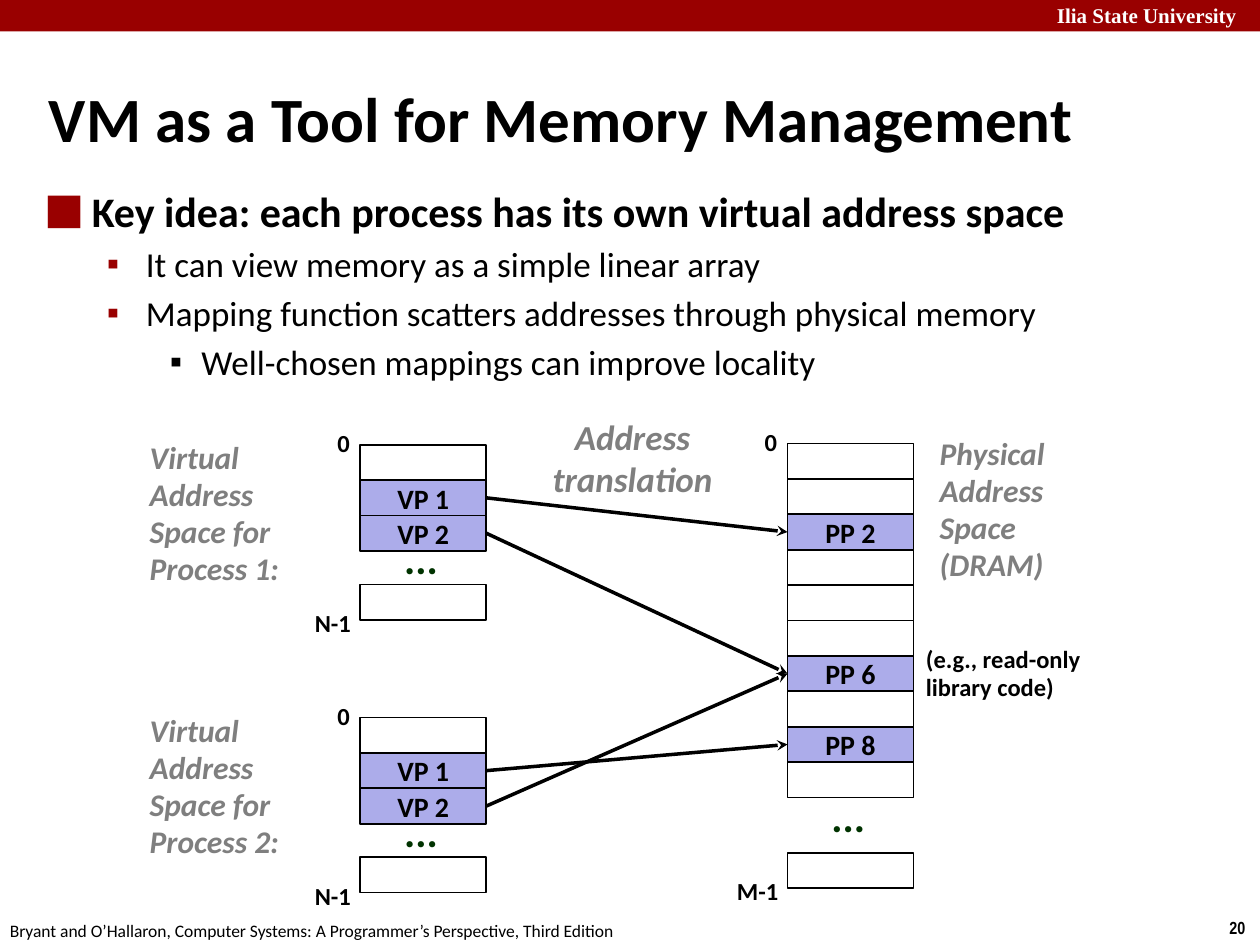
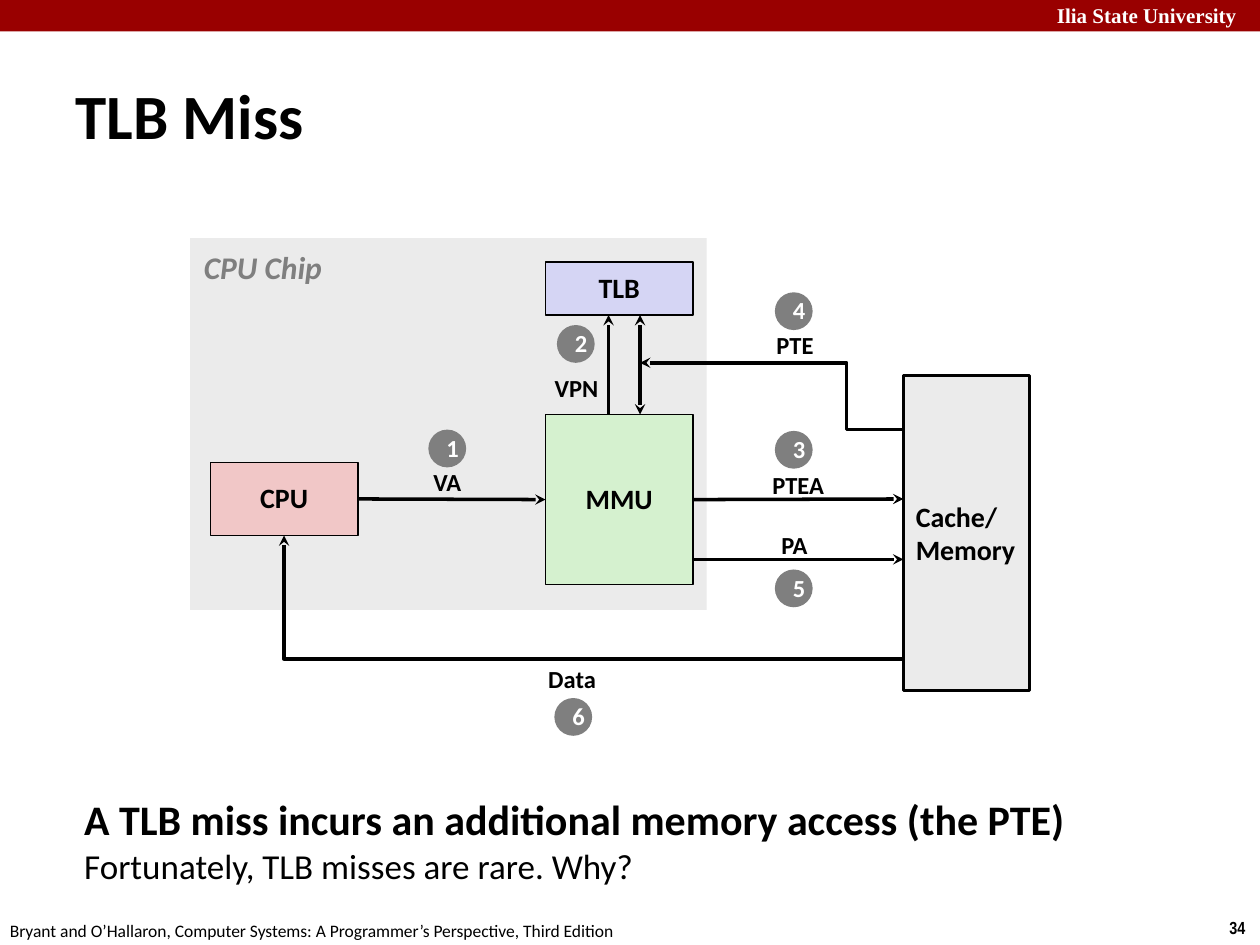
"""Build two slides on virtual memory: address spaces and a TLB miss."""
from collections import namedtuple

from lxml.etree import SubElement
from pptx import Presentation
from pptx.dml.color import RGBColor
from pptx.enum.shapes import MSO_CONNECTOR, MSO_SHAPE
from pptx.enum.text import MSO_ANCHOR, PP_ALIGN
from pptx.oxml.ns import qn
from pptx.util import Inches, Pt

COLUMNS, ROWS = 100, 75
UNIT = Inches(10) // COLUMNS
CELL = 2.81
LABEL_HEIGHT = 3.3
BADGE = 3
BULLET_FONT = "Times New Roman"

COLORS = {
    "red": "990000", "white": "FFFFFF", "black": "000000", "gray": "7F7F7F",
    "pale": "EBEBEB", "page": "ACACEA", "dots": "003300", "mmu": "D5F1CF",
    "cpu": "F1C7C7", "tlb": "D5D5F4",
}


def text_format(size, color="black", bold=True, italic=False, name="Calibri",
                align=PP_ALIGN.LEFT, spacing=None):
    """Collect the font, paragraph and colour values of one text style."""
    font = {"size": Pt(size), "bold": bold, "italic": italic, "name": name}
    return {"font": font, "color": color,
            "para": {"alignment": align, "line_spacing": spacing}}


CENTER = PP_ALIGN.CENTER
FORMATS = {
    "title": text_format(36),
    "key": text_format(24),
    "body": text_format(20, bold=False),
    "school": text_format(12, "white", name="Times New Roman"),
    "number": text_format(10, name="Arial Narrow"),
    "source": text_format(10, bold=False),
    "caption": text_format(18, "gray", italic=True, spacing=0.98),
    "chip": text_format(18, "gray", italic=True),
    "heading": text_format(20, "gray", italic=True, align=CENTER),
    "label": text_format(14, spacing=0.98),
    "signal": text_format(14, align=CENTER, spacing=0.98),
    "badge": text_format(14, "white", align=CENTER, spacing=0.98),
    "dots": text_format(24, "dots", spacing=0.88),
    "cell": text_format(16, align=CENTER),
    "unit": text_format(16, align=CENTER, spacing=0.98),
    "memory": text_format(16),
}


class Box(namedtuple("Box", "left top width height")):
    """A rectangle in grid columns and rows."""

    def inside(self, column, row, width, height):
        """Return a box placed relative to this one's corner."""
        return Box(self.left + column, self.top + row, width, height)

    def lengths(self):
        """Return the four lengths in slide units."""
        return [round(value * UNIT) for value in self]


def rgb(name):
    """Look up a colour by name."""
    return RGBColor.from_string(COLORS[name])


def style(target, style_name):
    """Apply the font values of a style to a paragraph or a span."""
    for key, value in FORMATS[style_name]["font"].items():
        setattr(target.font, key, value)
    target.font.color.rgb = rgb(FORMATS[style_name]["color"])


def write(frame, text, style_name, anchor=MSO_ANCHOR.TOP, wrap=True):
    """Fill a text frame, one paragraph per line of text."""
    frame.word_wrap = wrap
    frame.vertical_anchor = anchor
    frame.text = text
    for para in frame.paragraphs:
        for key, value in FORMATS[style_name]["para"].items():
            setattr(para, key, value)
        for span in para.runs:
            style(span, style_name)


def add_text(page, box, text, style_name, anchor=MSO_ANCHOR.TOP, wrap=False):
    """Add a text box."""
    shape = page.shapes.add_textbox(*box.lengths())
    write(shape.text_frame, text, style_name, anchor, wrap)
    return shape


def add_block(page, box, fill=None, line=None, text="", style_name="unit",
              kind=MSO_SHAPE.RECTANGLE):
    """Add a flat shape with optional fill, outline width and text."""
    shape = page.shapes.add_shape(kind, *box.lengths())
    shape.shadow.inherit = False
    if fill:
        shape.fill.solid()
        shape.fill.fore_color.rgb = rgb(fill)
    else:
        shape.fill.background()
    if line:
        shape.line.color.rgb = rgb("black")
        shape.line.width = Pt(line)
    else:
        shape.line.fill.background()
    if text:
        write(shape.text_frame, text, style_name, MSO_ANCHOR.MIDDLE)
    return shape


def add_arrow(page, start, end, kind=MSO_CONNECTOR.STRAIGHT, ends=("tailEnd",)):
    """Add an arrow between grid points or (shape, side) pairs."""
    points = [(0, 0) if hasattr(point[0], "shape_id")
              else [round(value * UNIT) for value in point]
              for point in (start, end)]
    arrow = page.shapes.add_connector(kind, *points[0], *points[1])
    for joint, join in ((start, arrow.begin_connect), (end, arrow.end_connect)):
        if hasattr(joint[0], "shape_id"):
            join(*joint)
    arrow.line.color.rgb = rgb("black")
    arrow.line.width = Pt(2)
    outline = arrow.element.spPr.find(qn("a:ln"))
    for tip in ends:
        SubElement(outline, qn("a:" + tip), type="stealth")
    SubElement(arrow.element.spPr, qn("a:effectLst"))
    return arrow


def add_elbow(page, start, end, preset, bend=None):
    """Add a bent arrow with a given preset and bend position."""
    arrow = add_arrow(page, start, end, MSO_CONNECTOR.ELBOW)
    geometry = arrow.element.spPr.find(qn("a:prstGeom"))
    geometry.set("prst", preset)
    if bend is not None:
        guides = geometry.find(qn("a:avLst"))
        SubElement(guides, qn("a:gd"), name="adj1", fmla=f"val {bend}")


def add_bullet(para, mark, percent, color, margin, hang):
    """Give a paragraph a sized, coloured bullet and a hanging indent."""
    properties = para._p.get_or_add_pPr()
    properties.set("marL", str(Inches(margin)))
    properties.set("indent", str(-Inches(hang)))
    paint = SubElement(properties, qn("a:buClr"))
    SubElement(paint, qn("a:srgbClr"), val=COLORS[color])
    SubElement(properties, qn("a:buSzPct"), val=str(percent * 1000))
    SubElement(properties, qn("a:buFont"), typeface=BULLET_FONT)
    SubElement(properties, qn("a:buChar"), char=mark)


def add_page(deck, title, title_box, number):
    """Add a slide with the shared band, footer and title."""
    page = deck.slides.add_slide(deck.slide_layouts[6])
    add_block(page, Box(0, 0, COLUMNS, 2.5), "red")
    add_text(page, Box(82.9, -0.3, 17.8, 3), "Ilia State University", "school")
    add_text(page, Box(96.6, 72.3, 3.4, 2.7), number, "number")
    add_text(page, Box(-0.2, 72.5, 50.8, 2.7),
             "Bryant and O’Hallaron, Computer Systems: "
             "A Programmer’s Perspective, Third Edition", "source")
    add_text(page, title_box, title, "title", MSO_ANCHOR.MIDDLE, True)
    return page


def place_key_idea(page, box):
    """Place the bulleted key idea."""
    levels = [("key", "■", 160, "red", 0.38, 0.38),
              ("body", "▪", 100, "red", 0.81, 0.31),
              ("body", "▪", 100, "black", 1.25, 0.25)]
    items = [
        (0, "Key idea: each process has its own virtual address space"),
        (1, "It can view memory as a simple linear array"),
        (1, "Mapping function scatters addresses through physical memory"),
        (2, "Well-chosen mappings can improve locality"),
    ]
    text = "\n".join(item for _, item in items)
    frame = add_text(page, box, text, "body", wrap=True).text_frame
    for para, (level, _) in zip(frame.paragraphs, items):
        style_name, *bullet = levels[level]
        add_bullet(para, *bullet)
        para.level = level
        if level:
            para.space_before = Pt(4)
        style(para.runs[0], style_name)


def place_address_space(page, box, names, last_label, last_width):
    """Stack cells from the top, one at the bottom; return named cells."""
    cells = {}
    for row, name in enumerate(names):
        spot = box.inside(0, row * CELL, box.width, CELL)
        cells[name] = add_block(page, spot, "page" if name else None, 1, name, "cell")
    last_row = box.height - CELL
    add_block(page, box.inside(0, last_row, box.width, CELL), line=1)
    middle = (len(names) * CELL + last_row) / 2
    add_text(page, box.inside(2.5, middle - 2.75, 4.7, 4.5), "...", "dots")
    for text, width, row in (("0", 3.1, -1.7), (last_label, last_width, last_row + 1.5)):
        add_text(page, box.inside(0.3 - width, row, width, LABEL_HEIGHT), text, "label")
    return cells


def place_mapping(page, box):
    """Place both virtual spaces, the physical space and the mappings."""
    physical = place_address_space(
        page, box.inside(51.6, 1.8, 10, 35.3),
        ["", "", "PP 2", "", "", "", "PP 6", "", "PP 8", ""], "M-1", 5.3)
    for process, targets in enumerate((("PP 2", "PP 6"), ("PP 8", "PP 6")), 1):
        row = 1.9 + (process - 1) * 21.65
        add_text(page, box.inside(0, row - 0.9, 15, 12.8),
                 f"Virtual Address Space for Process {process}:", "caption", wrap=True)
        virtual = place_address_space(page, box.inside(17.7, row, 10, 13.9),
                                      ["", "VP 1", "VP 2"], "N-1", 4.9)
        for name, target in zip(("VP 1", "VP 2"), targets):
            add_arrow(page, (virtual[name], 3), (physical[target], 1))
    add_text(page, box.inside(62.7, 0.7, 11.7, 12.9),
             "Physical\nAddress\nSpace (DRAM)", "caption", wrap=True)
    add_text(page, box.inside(61.6, 17.3, 15.9, 5.6),
             "(e.g., read-only\nlibrary code)", "label")
    add_text(page, box.inside(31.9, -0.9, 14.8, 7.7),
             "Address\ntranslation", "heading")


def place_tlb_miss(page, box):
    """Place the chip, its units, the memory and the numbered steps."""
    def at(column, row):
        """Return a grid point relative to the diagram."""
        return box.left + column, box.top + row

    add_block(page, box.inside(0, 0, 41, 29.5), "pale")
    add_text(page, box.inside(0.1, 0.3, 11.6, 4), "CPU Chip", "chip")
    mmu = add_block(page, box.inside(28.2, 14, 11.7, 13.5), "mmu", 1, "MMU")
    cpu = add_block(page, box.inside(1.6, 17.8, 11.7, 5.8), "cpu", 1, "CPU")
    add_block(page, box.inside(28.2, 1.9, 11.7, 4.2), "tlb", 1, "TLB")
    add_block(page, box.inside(56.6, 10.9, 10, 25), "pale", 1.5,
              "Cache/\nMemory", "memory")
    add_arrow(page, (cpu, 3), (mmu, 1))
    add_arrow(page, (mmu, 3), at(56.6, 20.7))
    add_arrow(page, at(39.9, 25.5), at(56.6, 25.5))
    add_arrow(page, at(33.2, 14), at(33.2, 6.1))
    add_arrow(page, at(35.7, 6.1), at(35.7, 14), ends=("headEnd", "tailEnd"))
    add_elbow(page, at(56.6, 33.4), (cpu, 2), "bentConnector2")
    add_elbow(page, at(56.6, 15.2), at(35.7, 9.9), "bentConnector3", 21600)
    steps = [
        ("VA", 18.3, 17.8, 4.2, 18.9, 15.2), ("VPN", 27.9, 10.3, 5.5, 29.1, 6.9),
        ("PTEA", 45.2, 18, 6.1, 46.4, 15.3), ("PTE", 45.5, 6.9, 5, 46.4, 4.3),
        ("PA", 45.9, 22.8, 4.1, 46.4, 26.3), ("Data", 27.4, 33.4, 5.8, 28.9, 36.5),
    ]
    for number, (signal, column, row, width, badge_column, badge_row) in enumerate(steps, 1):
        add_text(page, box.inside(column, row, width, LABEL_HEIGHT), signal,
                 "signal", MSO_ANCHOR.MIDDLE)
        add_block(page, box.inside(badge_column, badge_row, BADGE, BADGE), "gray",
                  None, str(number), "badge", MSO_SHAPE.OVAL)


def place_conclusion(page, box):
    """Place the closing statement and its question."""
    text = "A TLB miss incurs an additional memory access (the PTE)"
    para = add_text(page, box, text, "key", wrap=True).text_frame.paragraphs[0]
    para.add_line_break()
    span = para.add_run()
    span.text = "Fortunately, TLB misses are rare. Why?"
    style(span, "body")


def main():
    """Build and save the deck."""
    deck = Presentation()
    deck.slide_width, deck.slide_height = COLUMNS * UNIT, ROWS * UNIT
    page = add_page(deck, "VM as a Tool for Memory Management",
                    Box(2.9, 6.2, 94.2, 6.3), "20")
    place_key_idea(page, Box(2.5, 14.2, 85.9, 13.8))
    place_mapping(page, Box(10.9, 33.4, 77.5, 37.1))
    page = add_page(deck, "TLB Miss", Box(5, 4.8, 95, 8.6), "34")
    place_tlb_miss(page, Box(15.1, 18.9, 66.6, 39.5))
    place_conclusion(page, Box(5.7, 62.5, 84.3, 10))
    deck.save("out.pptx")


if __name__ == "__main__":
    main()
